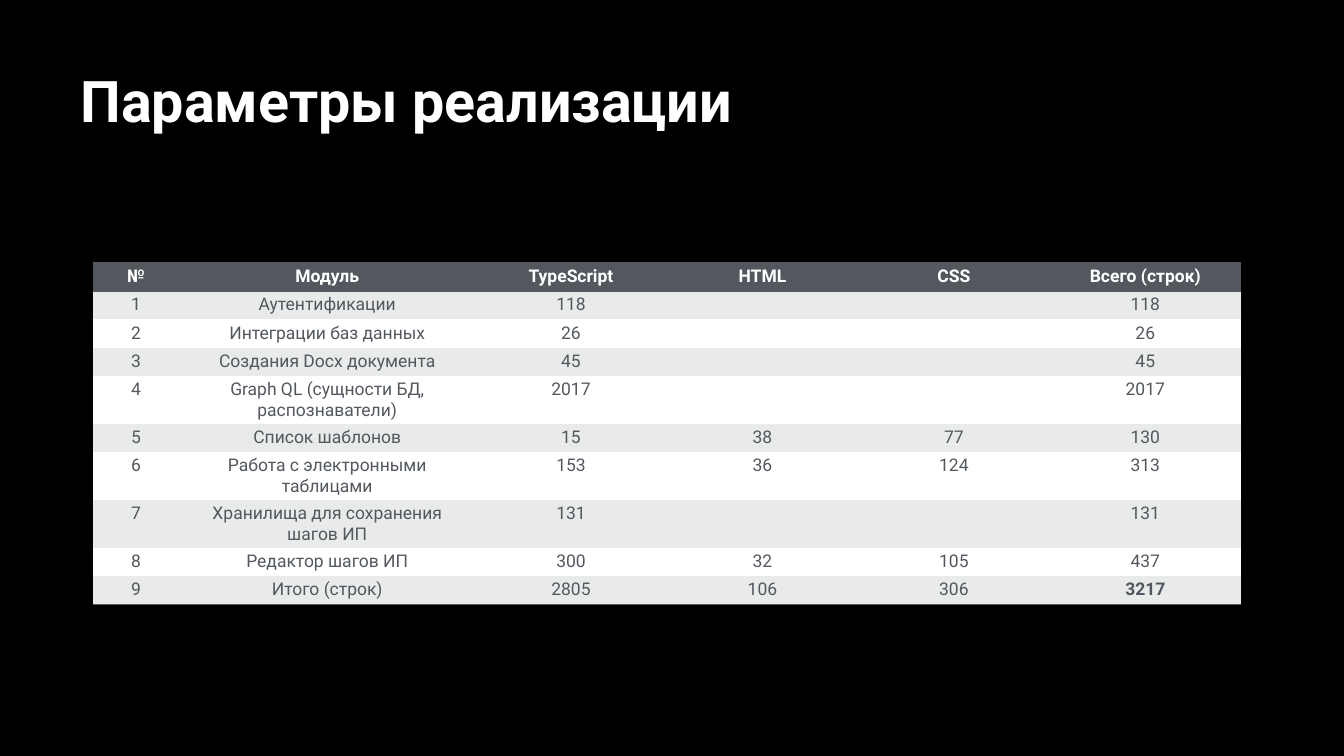
from dataclasses import dataclass

from lxml import etree
from pptx import Presentation
from pptx.dml.color import RGBColor
from pptx.enum.text import MSO_ANCHOR, MSO_AUTO_SIZE, PP_ALIGN
from pptx.oxml.ns import qn
from pptx.slide import Slide
from pptx.table import Table, _Cell
from pptx.util import Pt

LEFT = PP_ALIGN.LEFT
CENTER = PP_ALIGN.CENTER
BOTTOM = MSO_ANCHOR.BOTTOM
NO_AUTOFIT = MSO_AUTO_SIZE.NONE

BLACK = RGBColor(0x00, 0x00, 0x00)
WHITE = RGBColor(0xFF, 0xFF, 0xFF)
SLATE = RGBColor(0x53, 0x58, 0x5F)
LIGHT_GRAY = RGBColor(0xE9, 0xEA, 0xEA)

FONT = "Roboto"
NO_STYLE_NO_GRID = "{2D5ABB26-0587-4C30-8999-92F81FD0307C}"
BORDER_WIDTH = Pt(2)
ROW_HEIGHT = Pt(40.3)
COLUMN_WIDTHS = (Pt(123.5), Pt(423), *[Pt(273.5)] * 4)
CELL_MARGINS = {
    "margin_left": Pt(10),
    "margin_right": Pt(10),
    "margin_top": Pt(5),
    "margin_bottom": Pt(5),
}


@dataclass(frozen=True)
class Module:
    name: str
    typescript: str
    total: str
    html: str = ""
    css: str = ""


@dataclass(frozen=True)
class CellFormat:
    fill: RGBColor
    color: RGBColor
    bold: bool = False
    borders: tuple[str, ...] = ()


HEADINGS = ("№", "Модуль", "TypeScript", "HTML", "CSS", "Всего (строк)")
MODULES = (
    Module("Аутентификации", "118", "118"),
    Module("Интеграции баз данных", "26", "26"),
    Module("Создания Docx документа", "45", "45"),
    Module("Graph QL (сущности БД, распознаватели)", "2017", "2017"),
    Module("Список шаблонов", "15", "130", "38", "77"),
    Module("Работа с электронными таблицами", "153", "313", "36", "124"),
    Module("Хранилища для сохранения шагов ИП", "131", "131"),
    Module("Редактор шагов ИП", "300", "437", "32", "105"),
    Module("Итого (строк)", "2805", "3217", "106", "306"),
)


def apply_attributes(target: object, values: dict[str, object]) -> None:
    for name, value in values.items():
        setattr(target, name, value)


def add_border(cell: _Cell, tag: str) -> None:
    properties = cell._tc.get_or_add_tcPr()
    line = etree.SubElement(properties, qn(tag), w=str(BORDER_WIDTH))
    fill = etree.SubElement(line, qn("a:solidFill"))
    etree.SubElement(fill, qn("a:srgbClr"), val=str(SLATE))


def fill_cell(cell: _Cell, text: str, cell_format: CellFormat) -> None:
    apply_attributes(cell, CELL_MARGINS)
    for tag in cell_format.borders:
        add_border(cell, tag)
    cell.fill.solid()
    cell.fill.fore_color.rgb = cell_format.fill
    if not text:
        return
    paragraph = cell.text_frame.paragraphs[0]
    paragraph.alignment = CENTER
    run = paragraph.add_run()
    run.text = text
    apply_attributes(
        run.font, {"name": FONT, "size": Pt(25), "bold": cell_format.bold}
    )
    run.font.color.rgb = cell_format.color


def fill_row(table: Table, row: int, texts: tuple[str, ...], formats: list[CellFormat]) -> None:
    table.rows[row].height = ROW_HEIGHT
    for column, (text, cell_format) in enumerate(zip(texts, formats)):
        fill_cell(table.cell(row, column), text, cell_format)


def add_module_table(slide: Slide) -> None:
    row_count = len(MODULES) + 1
    column_count = len(HEADINGS)
    frame = slide.shapes.add_table(
        row_count, column_count, Pt(132.5), Pt(375.8),
        sum(COLUMN_WIDTHS), ROW_HEIGHT * row_count,
    )
    table = frame.table
    table._tbl.tblPr.find(qn("a:tableStyleId")).text = NO_STYLE_NO_GRID
    table.horz_banding = False
    for column, width in zip(table.columns, COLUMN_WIDTHS):
        column.width = width

    header = CellFormat(SLATE, WHITE, True, ("a:lnT", "a:lnB"))
    fill_row(table, 0, HEADINGS, [header] * column_count)
    for number, module in enumerate(MODULES, start=1):
        is_last = number == len(MODULES)
        band = LIGHT_GRAY if number % 2 else WHITE
        borders = ("a:lnB",) if is_last else ()
        formats = [CellFormat(band, SLATE, False, borders)] * (column_count - 1)
        formats.append(CellFormat(band, SLATE, is_last, borders))
        texts = (
            str(number), module.name, module.typescript,
            module.html, module.css, module.total,
        )
        fill_row(table, number, texts, formats)


def set_title(slide: Slide, text: str) -> None:
    title = slide.shapes.title
    apply_attributes(
        title,
        {"left": Pt(111), "top": Pt(-4.3), "width": Pt(1682.6), "height": Pt(200)},
    )
    text_frame = title.text_frame
    apply_attributes(
        text_frame,
        {
            "word_wrap": True,
            "auto_size": NO_AUTOFIT,
            "vertical_anchor": BOTTOM,
            "margin_left": Pt(4),
            "margin_right": Pt(4),
            "margin_top": Pt(4),
            "margin_bottom": Pt(4),
        },
    )
    paragraph = text_frame.paragraphs[0]
    paragraph.alignment = LEFT
    run = paragraph.add_run()
    run.text = text
    apply_attributes(run.font, {"name": FONT, "size": Pt(82), "bold": True})
    run.font.color.rgb = WHITE


def main() -> None:
    presentation = Presentation()
    presentation.slide_width = Pt(1920)
    presentation.slide_height = Pt(1080)
    slide = presentation.slides.add_slide(presentation.slide_layouts[5])
    slide.background.fill.solid()
    slide.background.fill.fore_color.rgb = BLACK
    add_module_table(slide)
    set_title(slide, "Параметры реализации")
    presentation.save("out.pptx")


if __name__ == "__main__":
    main()
